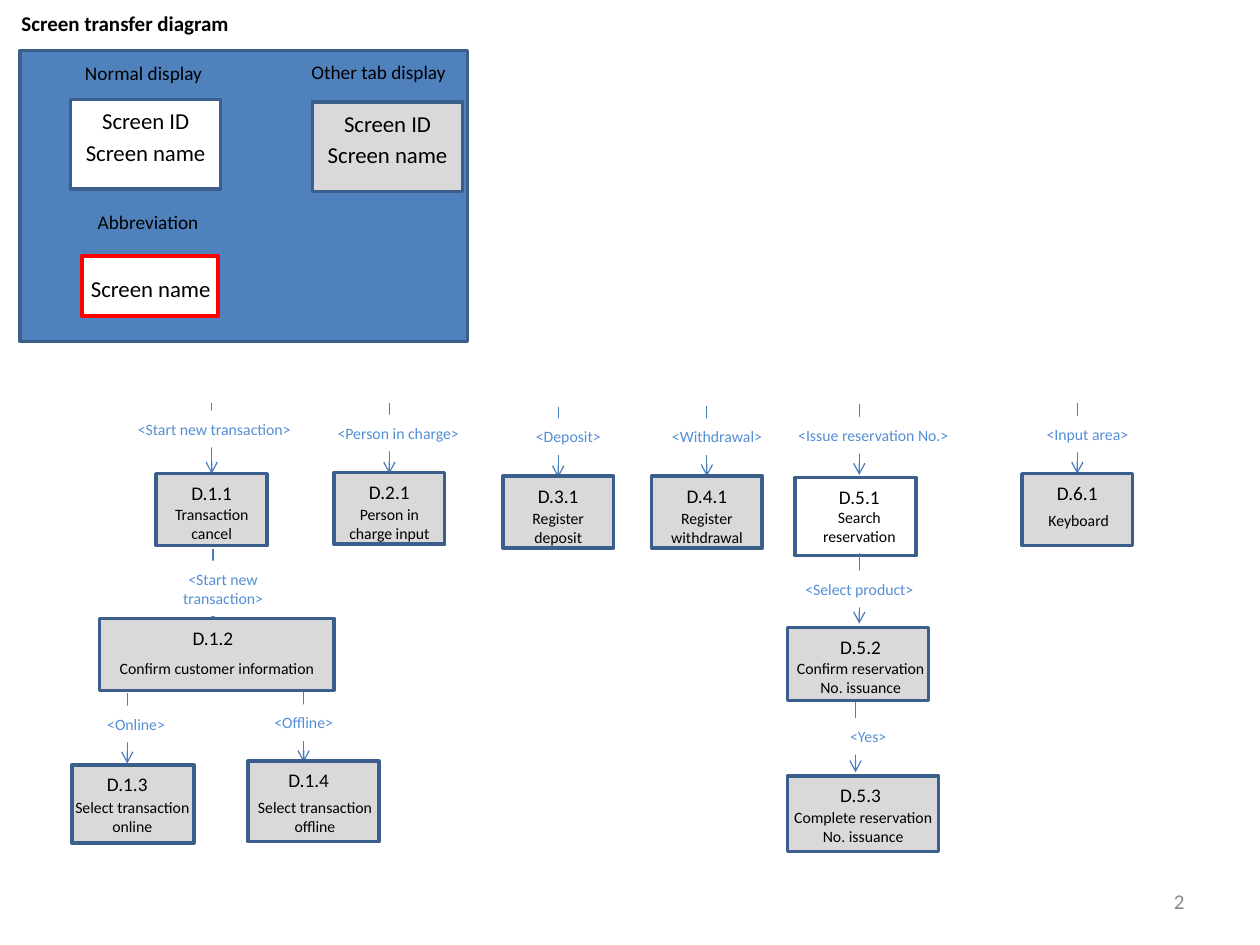
from dataclasses import dataclass
from lxml.etree import SubElement
from pptx import Presentation
from pptx.dml.color import RGBColor
from pptx.enum.shapes import MSO_CONNECTOR, MSO_SHAPE
from pptx.enum.text import MSO_ANCHOR, PP_ALIGN
from pptx.oxml.ns import qn
from pptx.util import Inches, Pt


@dataclass
class Theme:
    font: str = "Calibri"
    black: str = "000000"
    white: str = "FFFFFF"
    gray: str = "D9D9D9"
    blue: str = "4F81BD"
    edge: str = "3A5F8C"
    arrow: str = "4B7EBC"
    label: str = "558ED5"
    red: str = "FF0000"
    muted: str = "898989"
    small: int = 9
    medium: int = 11
    large: int = 12
    big: int = 13


theme = Theme()
deck = Presentation()
deck.slide_width, deck.slide_height = Inches(10), Inches(7.5)
slide = deck.slides.add_slide(deck.slide_layouts[5])
shapes = slide.shapes


def write(text, left, top, width, height, size=theme.small, color=theme.black,
          align=PP_ALIGN.CENTER, anchor=MSO_ANCHOR.TOP, bold=False,
          pad=(0.11, 0.06), fill=None, shape=None):
    shape = shape or shapes.add_textbox(0, 0, 0, 0)
    shape.left, shape.top = Inches(left), Inches(top)
    shape.width, shape.height = Inches(width), Inches(height)
    if fill:
        shape.fill.solid()
        shape.fill.fore_color.rgb = RGBColor.from_string(fill)
    frame = shape.text_frame
    frame.word_wrap = True
    frame.vertical_anchor = anchor
    frame.margin_left = frame.margin_right = Inches(pad[0])
    frame.margin_top = frame.margin_bottom = Inches(pad[1])
    para = frame.paragraphs[0]
    para.alignment = align
    run = para.add_run()
    run.text = text
    font = run.font
    font.name, font.size, font.bold = theme.font, Pt(size), bold
    font.color.rgb = RGBColor.from_string(color)


def draw_box(left, top, width, height, fill, edge=theme.edge):
    box = shapes.add_shape(MSO_SHAPE.RECTANGLE, Inches(left), Inches(top),
                           Inches(width), Inches(height))
    box.shadow.inherit = False
    box.fill.solid()
    box.fill.fore_color.rgb = RGBColor.from_string(fill)
    box.line.color.rgb = RGBColor.from_string(edge)
    box.line.width = Pt(2)


write("Screen transfer diagram", 0.01, 0, 3.51, 0.36, size=theme.large, bold=True,
      align=PP_ALIGN.LEFT, pad=(0.16, 0.08), shape=shapes.title)
write("2", 7.17, 6.95, 2.33, 0.4, size=theme.large, color=theme.muted,
      align=PP_ALIGN.RIGHT, anchor=MSO_ANCHOR.MIDDLE, pad=(0.1, 0.05))

# id, box, id centre, name, (centre, top, width), arrow start, label, (centre, top, width)
screens = [
    ("D.1.1", (1.24, 3.76, 0.88, 0.57), 1.68, "Transaction cancel", (1.68, 3.95, 0.88),
     (1.68, 3.2), "<Start new transaction>", (1.7, 3.26, 1.6)),
    ("D.1.2", (0.79, 4.91, 1.86, 0.57), 1.69, "Confirm customer information", (1.72, 5.17, 1.86),
     (1.69, 4.36), "<Start new transaction>", (1.77, 4.45, 1.27)),
    ("D.1.3", (0.57, 6.07, 0.97, 0.62), 1.01, "Select transaction online", (1.05, 6.27, 1.24),
     (1.01, 5.5), "<Online>", (1.08, 5.6, 1.27)),
    ("D.1.4", (1.97, 6.04, 1.04, 0.64), 2.45, "Select transaction offline", (2.5, 6.27, 1.14),
     (2.41, 5.49), "<Offline>", (2.41, 5.59, 1.27)),
    ("D.2.1", (2.65, 3.75, 0.88, 0.57), 3.09, "Person in charge input", (3.09, 3.95, 0.88),
     (3.09, 3.2), "<Person in charge>", (3.16, 3.29, 1.27)),
    ("D.3.1", (3.99, 3.78, 0.88, 0.57), 4.43, "Register deposit", (4.43, 3.98, 0.88),
     (4.43, 3.23), "<Deposit>", (4.51, 3.32, 1.27)),
    ("D.4.1", (5.17, 3.78, 0.88, 0.57), 5.61, "Register withdrawal", (5.61, 3.98, 0.88),
     (5.61, 3.22), "<Withdrawal>", (5.69, 3.32, 1.27)),
    ("D.5.1", (6.31, 3.79, 0.96, 0.62), 6.82, "Search reservation", (6.82, 3.97, 0.88),
     (6.82, 3.21), "<Issue reservation No.>", (6.93, 3.31, 1.49)),
    ("D.5.2", (6.25, 4.98, 1.12, 0.58), 6.83, "Confirm reservation No. issuance", (6.83, 5.17, 1.4),
     (6.82, 4.39), "<Select product>", (6.82, 4.53, 1.27)),
    ("D.5.3", (6.25, 6.16, 1.2, 0.6), 6.83, "Complete reservation No. issuance", (6.85, 6.35, 1.33),
     (6.79, 5.57), "<Yes>", (6.89, 5.7, 1.27)),
    ("D.6.1", (8.11, 3.76, 0.88, 0.57), 8.55, "Keyboard", (8.56, 3.99, 0.88),
     (8.55, 3.2), "<Input area>", (8.63, 3.3, 1.27)),
]
for code, box, mid, name, spot, start, label, tag in screens:
    x, y = start
    line = shapes.add_connector(MSO_CONNECTOR.STRAIGHT, Inches(x), Inches(y),
                                Inches(x), Inches(y + 0.56))
    line.line.color.rgb = RGBColor.from_string(theme.arrow)
    line.line.width = Pt(0.75)
    SubElement(line.line._get_or_add_ln(), qn("a:tailEnd"), type="arrow")
    SubElement(line._element.spPr, qn("a:effectLst"))
    tall = 0.44 if code == "D.1.2" else 0.29
    write(label, tag[0] - tag[2] / 2, tag[1], tag[2], tall, color=theme.label,
          pad=(0.14, 0.07), fill=theme.white)
    draw_box(*box, theme.white if code == "D.5.1" else theme.gray)
    write(code, mid - 0.44, box[1], 0.88, 0.3, size=theme.medium)
    write(name, spot[0] - spot[2] / 2, spot[1], spot[2], 0.42)

draw_box(0.16, 0.4, 3.55, 2.31, theme.blue)
for left, top, fill in [(0.56, 0.79, theme.white), (2.48, 0.81, theme.gray)]:
    draw_box(left, top, 1.19, 0.71, fill)
    for text, drop in [("Screen ID", 0), ("Screen name", 0.25)]:
        write(text, left, top + drop, 1.19, 0.33, size=theme.big)
draw_box(0.65, 2.03, 1.08, 0.48, theme.white, theme.red)
write("Screen name", 0.6, 2.12, 1.19, 0.33, size=theme.big)
for text, left, top, width in [("Normal display", 0.49, 0.41, 1.3),
                               ("Other tab display", 2.29, 0.4, 1.43),
                               ("Abbreviation", 0.6, 1.59, 1.15)]:
    write(text, left, top, width, 0.34, size=theme.medium, pad=(0.16, 0.08))

deck.save("out.pptx")
